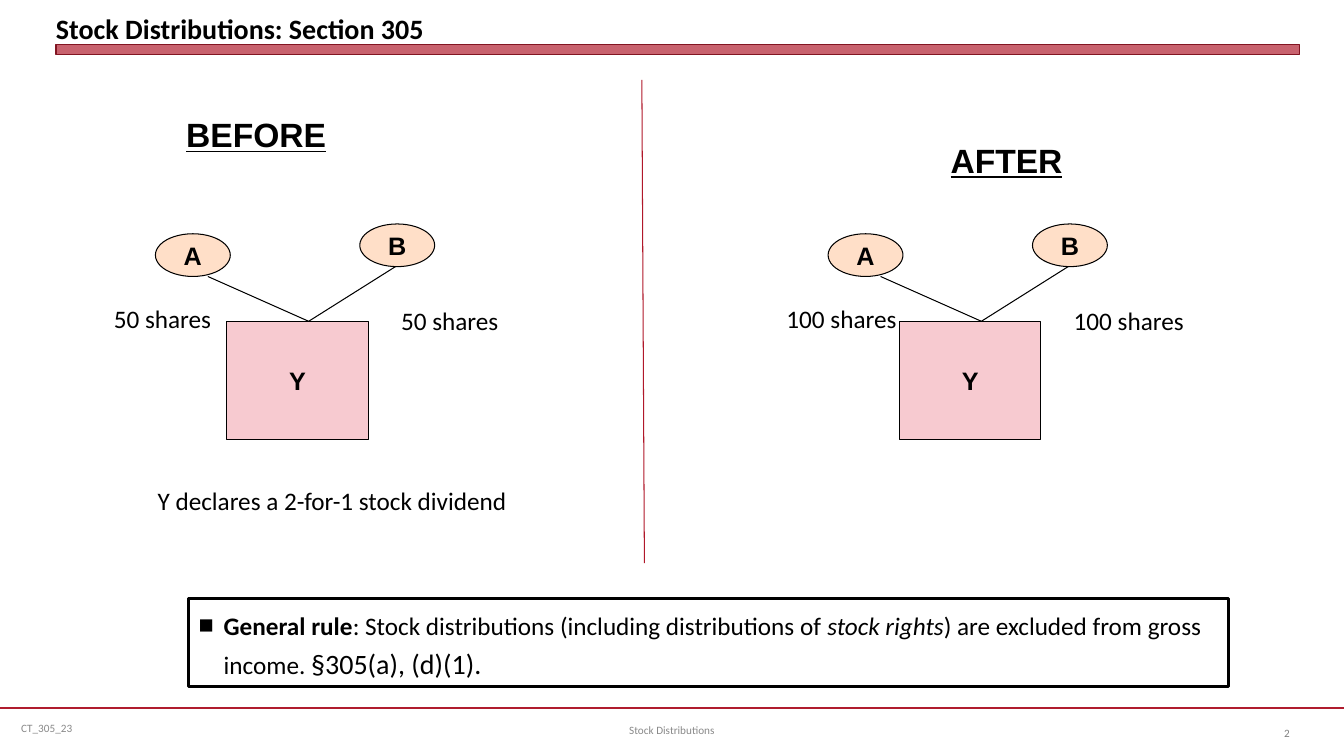
"""Build the slide on stock distributions under Section 305."""
import pptx
import pptx.dml.color
import pptx.enum.shapes
import pptx.enum.text
import pptx.oxml
import pptx.oxml.ns
import pptx.util

Pt = pptx.util.Pt
RGBColor = pptx.dml.color.RGBColor
Kind = pptx.enum.shapes.MSO_SHAPE
Align = pptx.enum.text.PP_ALIGN
Anchor = pptx.enum.text.MSO_ANCHOR
Fit = pptx.enum.text.MSO_AUTO_SIZE

BLACK = RGBColor(0x00, 0x00, 0x00)
WHITE = RGBColor(0xFF, 0xFF, 0xFF)
RED = RGBColor(0xB0, 0x1C, 0x2E)
CRIMSON = RGBColor(0xB0, 0x18, 0x2A)
MAROON = RGBColor(0x82, 0x15, 0x22)
PEACH = RGBColor(0xFF, 0xDF, 0xC8)
PINK = RGBColor(0xF7, 0xCA, 0xD0)
GREY = RGBColor(0x89, 0x89, 0x89)
PAGE_GREY = RGBColor(0x80, 0x80, 0x80)

AFTER_SHIFT = 480.5


def append(parent, tag, **attrs):
    child = pptx.oxml.parse_xml(f"<{tag} {pptx.oxml.ns.nsdecls('a')}/>")
    for name, value in attrs.items():
        child.set(name, str(value))
    parent.append(child)


def write(para, text, font="Calibri", size=18, color=BLACK, bold=False,
          italic=False, under=False, align=Align.LEFT):
    para.alignment = align
    run = para.add_run()
    run.text = text
    style = run.font
    style.name, style.size = font, Pt(size)
    style.bold, style.italic, style.underline = bold, italic, under
    style.color.rgb = color


def place(shape, left, top, width, height):
    shape.left, shape.top = Pt(left), Pt(top)
    shape.width, shape.height = Pt(width), Pt(height)


def label(slide, text, box, anchor=Anchor.TOP, wrap=False, **style):
    frame = slide.shapes.add_textbox(*map(Pt, box)).text_frame
    frame.word_wrap = wrap
    frame.auto_size = Fit.NONE if wrap else Fit.SHAPE_TO_FIT_TEXT
    frame.vertical_anchor = anchor
    write(frame.paragraphs[0], text, **style)


def block(slide, kind, box, fill, line=BLACK, weight=0.75, text=""):
    shape = slide.shapes.add_shape(kind, *map(Pt, box))
    shape.shadow.inherit = False
    shape.fill.solid()
    shape.fill.fore_color.rgb = fill
    shape.line.color.rgb = line
    shape.line.width = Pt(weight)
    if text:
        frame = shape.text_frame
        frame.word_wrap = False
        frame.vertical_anchor = Anchor.MIDDLE
        write(frame.paragraphs[0], text, font="Arial", bold=True,
              align=Align.CENTER)
    return shape


def rule(slide, start, end, color=BLACK, weight=0.75):
    line = slide.shapes.add_connector(
        pptx.enum.shapes.MSO_CONNECTOR.STRAIGHT, *map(Pt, start + end))
    line.line.color.rgb = color
    line.line.width = Pt(weight)
    append(line._element.spPr, "a:effectLst")


def chart(slide, shift, shares, width):
    hub = (shift + 220.5, 229.5)
    rule(slide, hub, (shift + 148.5, 197.5))
    rule(slide, hub, (shift + 284, 189.5))
    block(slide, Kind.RECTANGLE, (shift + 162, 229.5, 101, 84.5), PINK, text="Y")
    block(slide, Kind.OVAL, (shift + 111, 167, 53.5, 30.5), PEACH, text="A")
    block(slide, Kind.OVAL, (shift + 257, 160, 53.5, 30.5), PEACH, text="B")
    label(slide, shares, (shift + 74.2, 213.1, width, 29))
    label(slide, shares, (shift + 279.4, 214.5, width, 29))


def banner(slide):
    bar = block(slide, Kind.RECTANGLE, (40, 32, 888, 7), RED, MAROON, 0)
    tint = bar._element.spPr.find(".//" + pptx.oxml.ns.qn("a:srgbClr"))
    append(tint, "a:alpha", val=69000)
    title = slide.shapes.title
    place(title, 40, 3.6, 888, 28.8)
    frame = title.text_frame
    frame.auto_size = Fit.NONE
    frame.margin_left = frame.margin_right = Pt(0)
    frame.margin_top = frame.margin_bottom = Pt(0)
    frame.vertical_anchor = Anchor.BOTTOM
    write(frame.paragraphs[0], "Stock Distributions: Section 305", size=20,
          bold=True)


def notice(slide):
    body = slide.placeholders[1]
    place(body, 134.6, 427.7, 743, 62.6)
    body.fill.solid()
    body.fill.fore_color.rgb = WHITE
    body.line.color.rgb = BLACK
    body.line.width = Pt(2)
    frame = body.text_frame
    frame.auto_size = Fit.NONE
    frame.vertical_anchor = Anchor.TOP
    para = frame.paragraphs[0]
    para.line_spacing = 1.2
    para.space_before = Pt(0)
    props = para._p.get_or_add_pPr()
    props.set("marL", str(Pt(18)))
    props.set("indent", str(-Pt(18)))
    append(props, "a:buFont", typeface="Arial")
    append(props, "a:buChar", char="■")
    write(para, "General rule", bold=True)
    write(para, ": Stock distributions (including distributions of ")
    write(para, "stock rights", italic=True)
    write(para, ") are excluded from gross income. ")
    write(para, "§305(a), (d)(1).", size=20)


def footer(slide):
    rule(slide, (0, 505.5), (960, 505.5), RED, 1.25)
    notes = [("CT_305_23", (8, 505.5, 248, 29), Align.LEFT, GREY),
             ("Stock Distributions", (328, 507, 304, 29), Align.CENTER, GREY),
             ("2", (880.5, 509, 48, 29), Align.RIGHT, PAGE_GREY)]
    for text, box, align, color in notes:
        label(slide, text, box, Anchor.MIDDLE, True, size=8, color=color,
              align=align)


def main():
    deck = pptx.Presentation()
    deck.slide_width, deck.slide_height = Pt(960), Pt(540)
    slide = deck.slides.add_slide(deck.slide_layouts[1])
    banner(slide)
    heads = [("BEFORE", (123, 78, 120, 36)), ("AFTER", (669, 96, 100, 36))]
    for text, box in heads:
        label(slide, text, box, Anchor.MIDDLE, font="Arial", size=24,
              bold=True, under=True, align=Align.CENTER)
    rule(slide, (458.5, 57), (460.3, 402.3), CRIMSON)
    chart(slide, 0, "50 shares", 85)
    chart(slide, AFTER_SHIFT, "100 shares", 93.6)
    label(slide, "Y declares a 2-for-1 stock dividend", (105.5, 343.2, 267, 29))
    notice(slide)
    footer(slide)
    deck.save("out.pptx")


if __name__ == "__main__":
    main()
